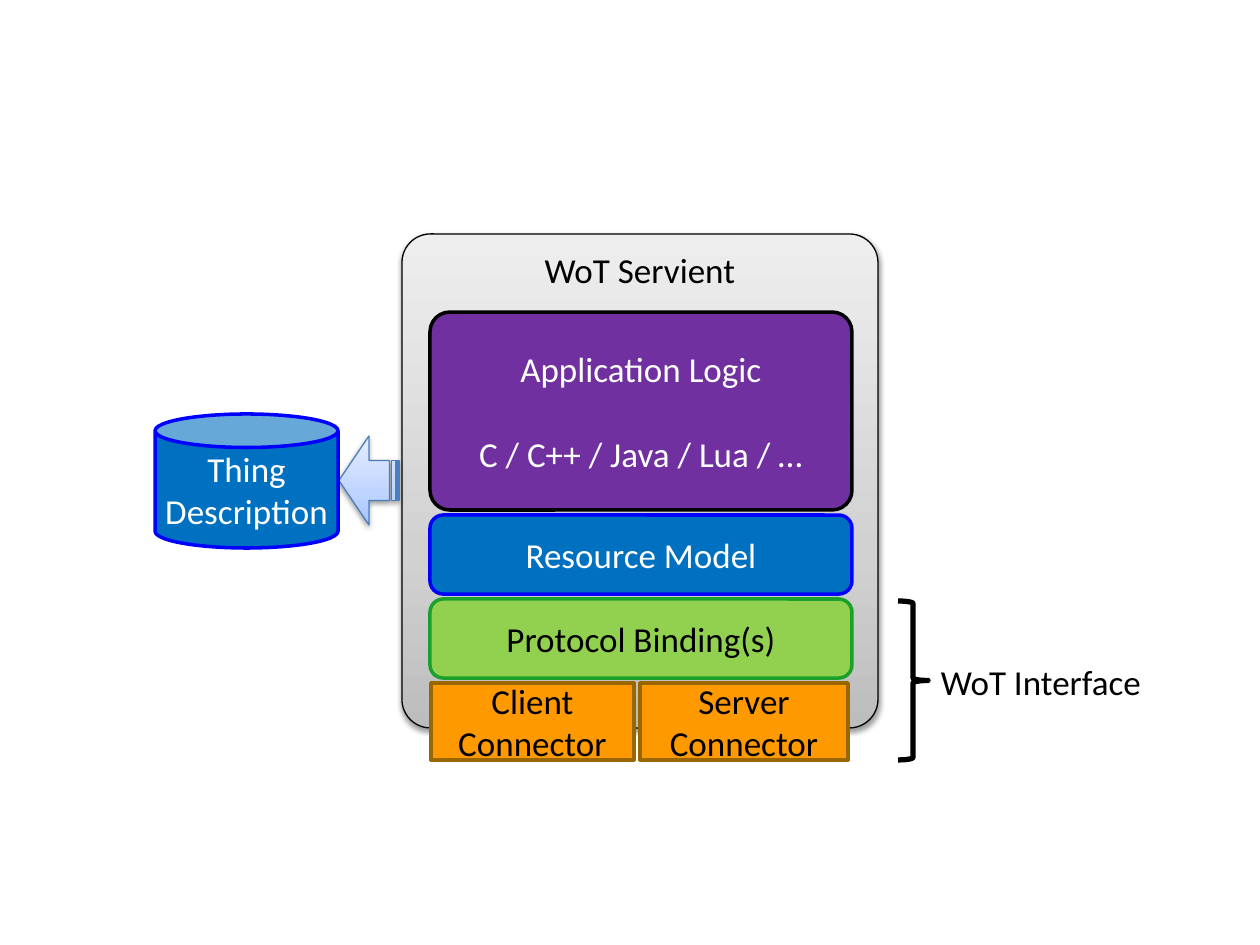
from pptx import Presentation
from pptx.dml.color import RGBColor
from pptx.enum.shapes import MSO_SHAPE
from pptx.enum.text import MSO_ANCHOR, MSO_AUTO_SIZE, PP_ALIGN
from pptx.oxml import parse_xml
from pptx.oxml.ns import nsdecls
from pptx.util import Emu, Pt

PX = 914400 / 126
FONT = "Calibri"
TEXT_SIZE = Pt(20)

BLACK = RGBColor(0x00, 0x00, 0x00)
WHITE = RGBColor(0xFF, 0xFF, 0xFF)
ORANGE = RGBColor(0xFF, 0x99, 0x00)
BROWN = RGBColor(0x99, 0x66, 0x00)
LIGHT_GREEN = RGBColor(0x92, 0xD0, 0x50)
GREEN = RGBColor(0x1B, 0xA1, 0x2B)
PURPLE = RGBColor(0x70, 0x30, 0xA0)
BLUE = RGBColor(0x00, 0x70, 0xC0)
BRIGHT_BLUE = RGBColor(0x00, 0x00, 0xFF)
STEEL_BLUE = RGBColor(0x4B, 0x7E, 0xBC)
GREYS = (RGBColor(0xBD, 0xBD, 0xBD), RGBColor(0xD1, 0xD1, 0xD1), RGBColor(0xEE, 0xEE, 0xEE))
PALE_BLUES = (RGBColor(0xA4, 0xC4, 0xFF), RGBColor(0xBF, 0xD4, 0xFF), RGBColor(0xE6, 0xEE, 0xFF))

# The layers inside the servient share one column
LAYER_LEFT, LAYER_WIDTH = 430, 422
LAYER_HEIGHT = 79
CONNECTOR_TOP, CONNECTOR_HEIGHT = 683, 77


def px(*lengths):
    return [Emu(round(length * PX)) for length in lengths]


def write(shape, lines, color, anchor=MSO_ANCHOR.MIDDLE, wrap=True, gap=0):
    """Put centred lines in a shape, with gap points between paragraphs."""
    frame = shape.text_frame
    frame.text = lines
    frame.word_wrap = wrap
    frame.vertical_anchor = anchor
    for index, para in enumerate(frame.paragraphs):
        para.alignment = PP_ALIGN.CENTER
        if index and gap:
            para.space_before = Pt(gap)
        for span in para.runs:
            span.font.name = FONT
            span.font.size = TEXT_SIZE
            span.font.color.rgb = color


def add_figure(page, kind, place, line, weight=2, fill=None, adjust=()):
    shape = page.shapes.add_shape(kind, *px(*place))
    shape.shadow.inherit = False
    shape.line.color.rgb = line
    shape.line.width = Pt(weight)
    if fill is None:
        shape.fill.background()
    else:
        shape.fill.solid()
        shape.fill.fore_color.rgb = fill
    for index, value in enumerate(adjust):
        shape.adjustments[index] = value
    return shape


def add_shaded_figure(page, kind, place, line, colors, adjust):
    """Add a figure with an upward three-stop gradient and a soft shadow."""
    shape = add_figure(page, kind, place, line, 0.75, None, adjust)
    stops = "".join(
        f'<a:gs pos="{position}"><a:srgbClr val="{color}"/></a:gs>'
        for position, color in zip((0, 35000, 100000), colors)
    )
    gradient = parse_xml(
        f'<a:gradFill {nsdecls("a")} rotWithShape="1"><a:gsLst>{stops}</a:gsLst>'
        '<a:lin ang="16200000" scaled="0"/></a:gradFill>'
    )
    shadow = parse_xml(
        f'<a:outerShdw {nsdecls("a")} blurRad="{Pt(3.1)}" dist="{Pt(1.6)}" dir="5400000" '
        'rotWithShape="0"><a:srgbClr val="000000"><a:alpha val="38000"/></a:srgbClr></a:outerShdw>'
    )
    properties = shape.element.spPr
    properties.replace(properties.find("{*}noFill"), gradient)
    properties.find("{*}effectLst").append(shadow)
    return shape


def add_layer(page, top, height, lines, fill, line, color, adjust=(), gap=0):
    place = (LAYER_LEFT, top, LAYER_WIDTH, height)
    layer = add_figure(page, MSO_SHAPE.ROUNDED_RECTANGLE, place, line, fill=fill, adjust=adjust)
    write(layer, lines, color, gap=gap)


def add_connector_box(page, left, width, name):
    place = (left, CONNECTOR_TOP, width, CONNECTOR_HEIGHT)
    box = add_figure(page, MSO_SHAPE.ROUNDED_RECTANGLE, place, BROWN, fill=ORANGE, adjust=(0,))
    write(box, f"{name}\vConnector", BLACK)


def add_servient(page):
    servient = add_shaded_figure(
        page, MSO_SHAPE.ROUNDED_RECTANGLE, (402, 234, 476, 494), BLACK, GREYS, (0.06,))
    write(servient, "WoT Servient", BLACK, MSO_ANCHOR.TOP, wrap=False)
    add_connector_box(page, 640, 208, "Server")
    add_layer(page, 599, LAYER_HEIGHT, "Protocol Binding(s)", LIGHT_GREEN, GREEN, BLACK)
    add_layer(page, 312, 198, "Application Logic\nC / C++ / Java / Lua / …",
              PURPLE, BLACK, WHITE, (0.1,), gap=24.4)
    add_layer(page, 515, LAYER_HEIGHT, "Resource Model", BLUE, BRIGHT_BLUE, WHITE)
    add_connector_box(page, 431, 203, "Client")


def add_interface(page):
    add_figure(page, MSO_SHAPE.RIGHT_BRACE, (898, 601, 30, 159), BLACK, 3)
    label = page.shapes.add_textbox(*px(927, 654, 228, 55))
    write(label, "WoT Interface", BLACK, MSO_ANCHOR.TOP, wrap=False)
    label.text_frame.auto_size = MSO_AUTO_SIZE.SHAPE_TO_FIT_TEXT


def add_thing_description(page):
    arrow = add_shaded_figure(
        page, MSO_SHAPE.STRIPED_RIGHT_ARROW, (339, 436, 60, 89), STEEL_BLUE, PALE_BLUES, (0.45, 0.5))
    arrow.element.spPr.xfrm.set("flipH", "1")
    store = add_figure(page, MSO_SHAPE.CAN, (155, 414, 183, 134), BRIGHT_BLUE, fill=BLUE)
    write(store, "Thing\nDescription", WHITE, wrap=False)


def main():
    deck = Presentation()
    deck.slide_width, deck.slide_height = px(1260, 945)
    page = deck.slides.add_slide(deck.slide_layouts[6])
    add_servient(page)
    add_interface(page)
    add_thing_description(page)
    deck.save("out.pptx")


if __name__ == "__main__":
    main()
